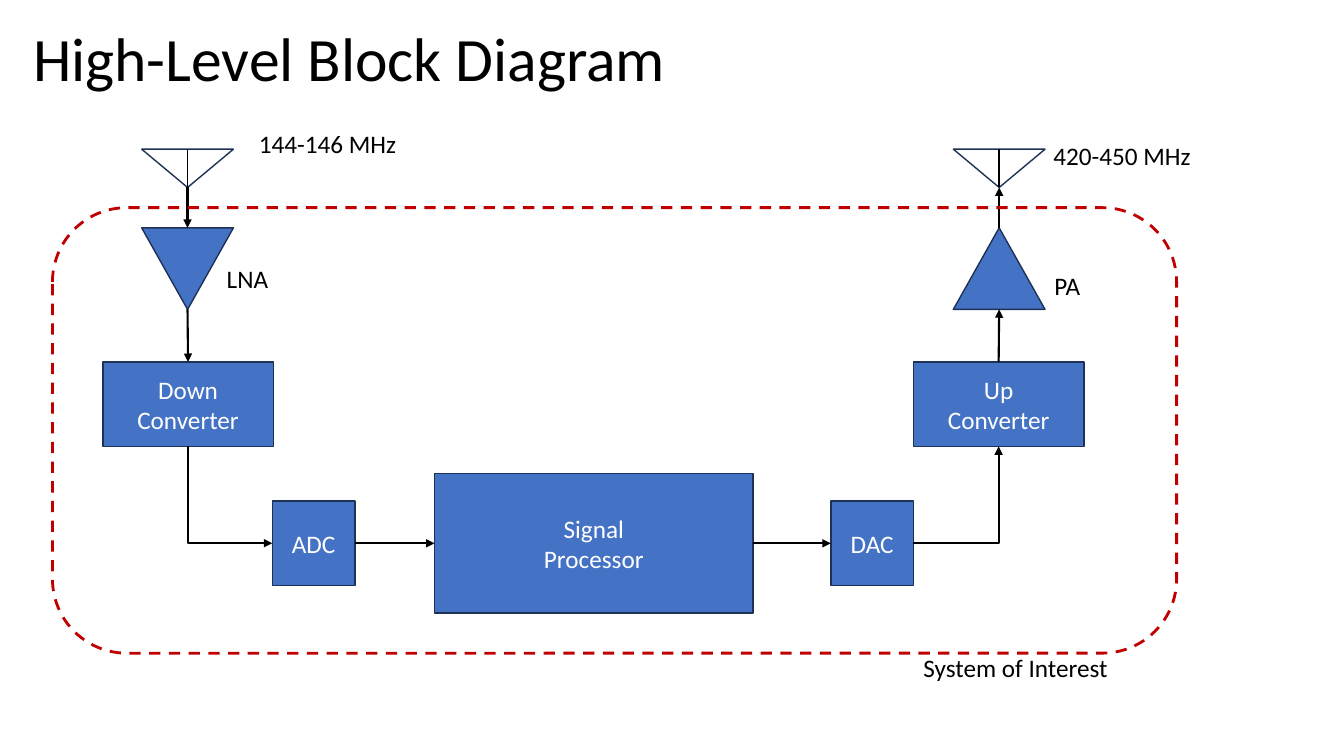
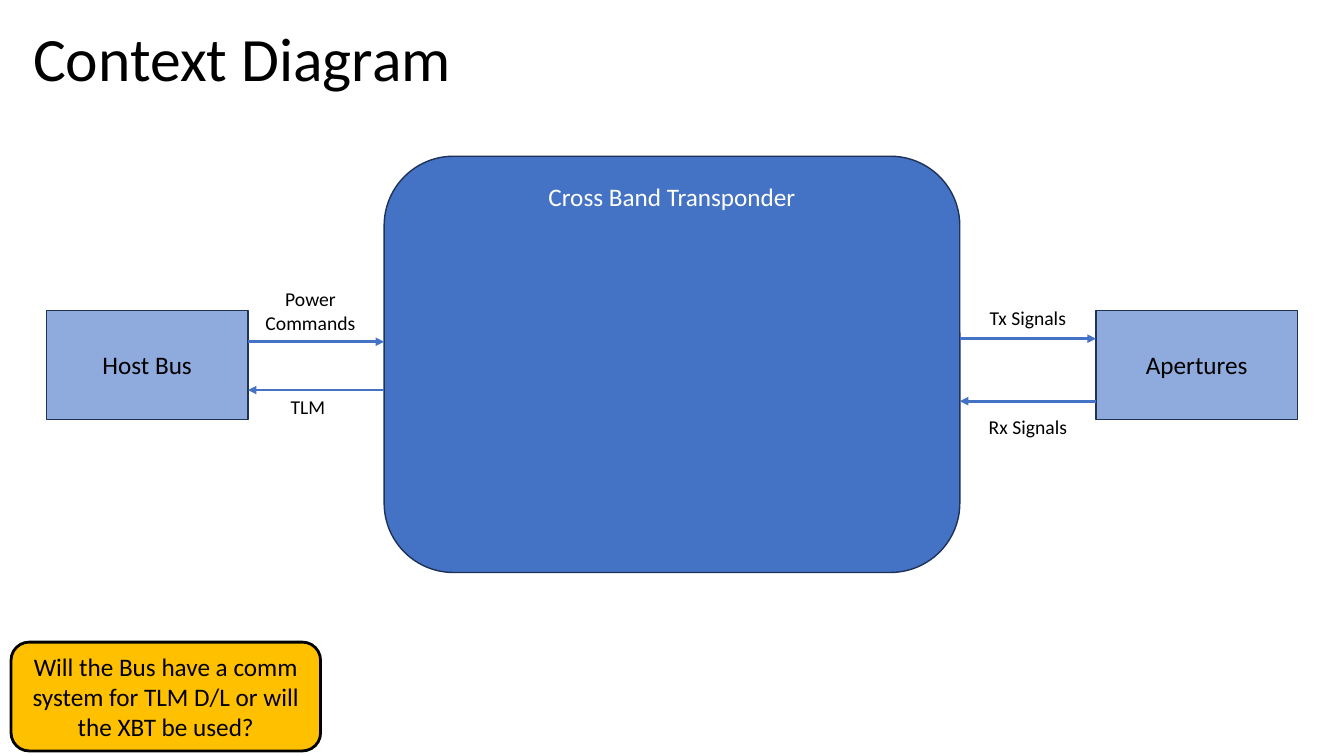
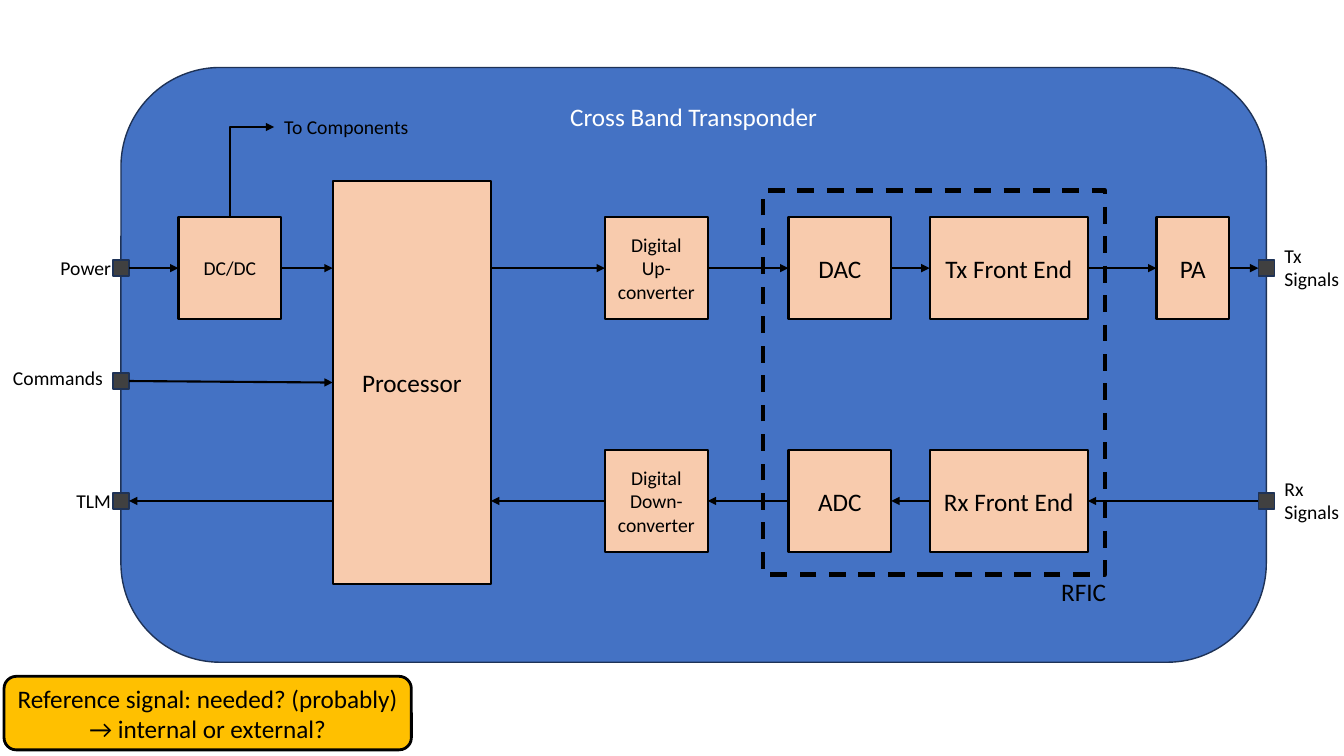
"""Build three block diagrams of a cross band transponder."""
from pptx import Presentation
from pptx.dml.color import RGBColor
from pptx.enum import dml, shapes, text
from pptx.oxml.ns import qn
from pptx.util import Inches, Pt
from lxml import etree

FONT = "Calibri"
C = {"blue": "4472C4", "navy": "1E3256", "light": "8FAADC", "peach": "F8CBAD", "amber": "FFC000",
     "gray": "404040", "red": "C00000", "black": "000000", "white": "FFFFFF"}
STYLES = {
    "block": ("blue", "navy", 1, "white"),
    "neighbor": ("light", "navy", 1, "black"),
    "part": ("peach", "black", 1.5, "black"),
    "port": ("gray", "navy", 1, "black"),
    "note": ("amber", "black", 2, "black"),
    "antenna": (None, "navy", 1, "black"),
    "scope": (None, "red", 2, "black"),
    "chip": (None, "black", 3, "black"),
}
DASHED = {"scope", "chip"}
RECT = shapes.MSO_SHAPE.RECTANGLE
ROUND = shapes.MSO_SHAPE.ROUNDED_RECTANGLE
TRIANGLE = shapes.MSO_SHAPE.ISOSCELES_TRIANGLE
LEFT, CENTER, RIGHT = text.PP_ALIGN.LEFT, text.PP_ALIGN.CENTER, text.PP_ALIGN.RIGHT
MIDDLE, TOP = text.MSO_ANCHOR.MIDDLE, text.MSO_ANCHOR.TOP
SITE_TOP, SITE_LEFT, SITE_BOTTOM, SITE_RIGHT = range(4)

RX_X, TX_X = 1.86, 9.91
CHAIN_BLOCKS = {
    "down": ((1.02, 3.59, 1.69, 0.84), "Down\nConverter"),
    "adc": ((2.7, 4.97, 0.82, 0.84), "ADC"),
    "processor": ((4.31, 4.7, 3.16, 1.38), "Signal\nProcessor"),
    "dac": ((8.24, 4.97, 0.82, 0.84), "DAC"),
    "up": ((9.06, 3.59, 1.69, 0.84), "Up\nConverter"),
}
CHAIN_LABELS = [
    ((2.47, 1.22, 1.58, 0.4), "144-146 MHz"),
    ((2.15, 2.56, 0.62, 0.4), "LNA"),
    ((10.36, 2.63, 0.46, 0.4), "PA"),
    ((10.35, 1.34, 1.58, 0.4), "420-450 MHz"),
    ((9.06, 6.42, 2.05, 0.4), "System of Interest"),
]

NEIGHBORS = [(0.46, "Host Bus"), (10.87, "Apertures")]
FLOWS = [
    ((2.46, 3.39), (3.81, 3.39), (2.53, 2.8, 1.1, 0.57), "Power\nCommands"),
    ((3.81, 3.87), (2.46, 3.87), (2.78, 3.87, 0.55, 0.34), "TLM"),
    ((9.52, 3.36), (10.87, 3.36), (9.71, 2.99, 0.97, 0.34), "Tx Signals"),
    ((10.87, 3.98), (9.52, 3.98), (9.7, 4.07, 0.99, 0.34), "Rx Signals"),
]

TX_Y, COMMAND_Y, RX_Y = 2.66, 3.78, 4.97
PART_H, PORT = 1.01, 0.16
PARTS = {
    "dcdc": (1.77, TX_Y, 1.02, "DC/DC", 14),
    "duc": (6, TX_Y, 1.02, "Digital Up-converter", 14),
    "dac": (7.82, TX_Y, 1.02, "DAC", 18),
    "tx": (9.22, TX_Y, 1.57, "Tx Front End", 18),
    "pa": (11.47, TX_Y, 0.72, "PA", 18),
    "ddc": (6, RX_Y, 1.02, "Digital Down-converter", 14),
    "adc": (7.82, RX_Y, 1.02, "ADC", 18),
    "rx": (9.22, RX_Y, 1.57, "Rx Front End", 18),
}
PORTS = {
    "power": (1.2, TX_Y), "commands": (1.2, COMMAND_Y), "tlm": (1.2, RX_Y),
    "tx_out": (12.56, TX_Y), "rx_in": (12.56, RX_Y),
}
RIGHTWARD = [("power", "dcdc"), ("duc", "dac"), ("dac", "tx"), ("tx", "pa"),
             ("pa", "tx_out"), ("commands", "processor")]
LEFTWARD = [("rx_in", "rx"), ("rx", "adc"), ("adc", "ddc")]
PORT_LABELS = [
    ((0.49, 2.49, 0.71, 0.34), "Power", 14, RIGHT),
    ((0, 3.58, 1.12, 0.34), "Commands", 14, RIGHT),
    ((0.65, 4.8, 0.55, 0.34), "TLM", 14, RIGHT),
    ((12.64, 2.37, 0.75, 0.57), "Tx\nSignals", 14, LEFT),
    ((12.64, 4.68, 0.75, 0.57), "Rx\nSignals", 14, LEFT),
    ((2.72, 1.09, 1.45, 0.34), "To Components", 14, LEFT),
    ((10.42, 5.67, 0.65, 0.4), "RFIC", 18, RIGHT),
]


def rgb(name):
    return RGBColor.from_string(C[name])


def write(tf, words, size, color, align):
    tf.text = words
    for p in tf.paragraphs:
        p.alignment = align
        for r in p.runs:
            r.font.name, r.font.size = FONT, Pt(size)
            r.font.color.rgb = rgb(color)


def box(s, at, style, words="", kind=RECT, size=18, anchor=MIDDLE, rotation=0):
    fill, line, width, color = STYLES[style]
    sp = s.shapes.add_shape(kind, *map(Inches, at))
    sp.shadow.inherit = False
    sp.rotation = rotation
    if fill:
        sp.fill.solid()
        sp.fill.fore_color.rgb = rgb(fill)
    else:
        sp.fill.background()
    sp.line.color.rgb = rgb(line)
    sp.line.width = Pt(width)
    if style in DASHED:
        sp.line.dash_style = dml.MSO_LINE.DASH
    if words:
        sp.text_frame.vertical_anchor = anchor
        write(sp.text_frame, words, size, color, CENTER)
    return sp


def label(s, at, words, size=18, align=LEFT):
    tf = s.shapes.add_textbox(*map(Inches, at)).text_frame
    tf.word_wrap = False
    write(tf, words, size, "black", align)
    return tf


def title(s, words):
    tf = label(s, (0.23, 0.15, 12.9, 0.93), words, 44)
    tf.word_wrap = True
    tf.vertical_anchor = MIDDLE
    tf.paragraphs[0].line_spacing = 0.9


def connect(s, start, end, color="black", width=1.5, tip="tailEnd", corner=False):
    """Join two ends, each a point or a (shape, site) pair; a corner runs sideways first."""
    kind = shapes.MSO_CONNECTOR.ELBOW if corner else shapes.MSO_CONNECTOR.STRAIGHT
    points = [end_ if isinstance(end_[0], (int, float)) else (0, 0) for end_ in (start, end)]
    line = s.shapes.add_connector(kind, *(Inches(v) for point in points for v in point))
    for end_, join in ((start, line.begin_connect), (end, line.end_connect)):
        if not isinstance(end_[0], (int, float)):
            join(*end_)
    line.line.color.rgb = rgb(color)
    line.line.width = Pt(width)
    spPr = line._element.spPr
    if corner:
        spPr.find(qn("a:prstGeom")).set("prst", "bentConnector2")
    if tip:
        etree.SubElement(spPr.find(qn("a:ln")), qn("a:" + tip)).set("type", "triangle")
    etree.SubElement(spPr, qn("a:effectLst"))


def block_diagram(s):
    title(s, "High-Level Block Diagram")
    for x, turn in ((RX_X, 180), (TX_X, 0)):
        left = x - 0.455
        box(s, (left, 1.48, 0.91, 0.38), "antenna", kind=TRIANGLE, rotation=180)
        connect(s, (x, 1.86), (x, 1.48), width=1, tip=None)
        box(s, (left, 2.26, 0.91, 0.81), "block", kind=TRIANGLE, rotation=turn)
    b = {name: box(s, at, "block", words) for name, (at, words) in CHAIN_BLOCKS.items()}
    connect(s, (RX_X, 1.86), (RX_X, 2.26))
    connect(s, (RX_X, 3.07), (b["down"], SITE_TOP))
    connect(s, (b["adc"], SITE_LEFT), (b["down"], SITE_BOTTOM), tip="headEnd", corner=True)
    for a, z in (("adc", "processor"), ("processor", "dac")):
        connect(s, (b[a], SITE_RIGHT), (b[z], SITE_LEFT))
    connect(s, (b["dac"], SITE_RIGHT), (b["up"], SITE_BOTTOM), corner=True)
    connect(s, (b["up"], SITE_TOP), (TX_X, 3.07))
    connect(s, (TX_X, 2.26), (TX_X, 1.86))
    for at, words in CHAIN_LABELS:
        label(s, at, words)
    box(s, (0.52, 2.06, 11.15, 4.42), "scope", kind=ROUND)


def context_diagram(s):
    title(s, "Context Diagram")
    box(s, (3.81, 1.55, 5.71, 4.13), "block", "Cross Band Transponder", ROUND, anchor=TOP)
    for x, words in NEIGHBORS:
        box(s, (x, 3.08, 2, 1.08), "neighbor", words)
    for start, end, at, words in FLOWS:
        connect(s, start, end, "blue", 2)
        label(s, at, words, 14, CENTER)
    box(s, (0.11, 6.37, 3.07, 1.08), "note",
        "Will the Bus have a comm system for TLM D/L or will the XBT be used?", ROUND)


def transponder(s):
    box(s, (1.2, 0.67, 11.36, 5.9), "block", "Cross Band Transponder", ROUND, anchor=TOP)
    b = {"processor": box(s, (3.3, 1.8, 1.57, 3.99), "part", "Processor")}
    for name, (x, y, w, words, size) in PARTS.items():
        b[name] = box(s, (x, y - PART_H / 2, w, PART_H), "part", words, size=size)
    for name, (x, y) in PORTS.items():
        b[name] = box(s, (x - PORT / 2, y - PORT / 2, PORT, PORT), "port")
    for a, z in RIGHTWARD:
        connect(s, (b[a], SITE_RIGHT), (b[z], SITE_LEFT))
    for a, z in LEFTWARD:
        connect(s, (b[a], SITE_LEFT), (b[z], SITE_RIGHT))
    connect(s, (b["dcdc"], SITE_RIGHT), (3.3, TX_Y))
    connect(s, (4.87, TX_Y), (b["duc"], SITE_LEFT))
    connect(s, (b["ddc"], SITE_LEFT), (4.87, RX_Y))
    connect(s, (3.3, RX_Y), (b["tlm"], SITE_RIGHT))
    connect(s, (2.72, 1.26), (b["dcdc"], SITE_TOP), tip="headEnd", corner=True)
    box(s, (7.57, 1.89, 3.39, 3.81), "chip")
    for entry in PORT_LABELS:
        label(s, *entry)
    box(s, (0.04, 6.71, 4.04, 0.73), "note",
        "Reference signal: needed? (probably) → internal or external?", ROUND)


def main():
    prs = Presentation()
    prs.slide_width, prs.slide_height = Inches(13.33), Inches(7.5)
    for draw in (block_diagram, context_diagram, transponder):
        draw(prs.slides.add_slide(prs.slide_layouts[6]))
    prs.save("out.pptx")


if __name__ == "__main__":
    main()
